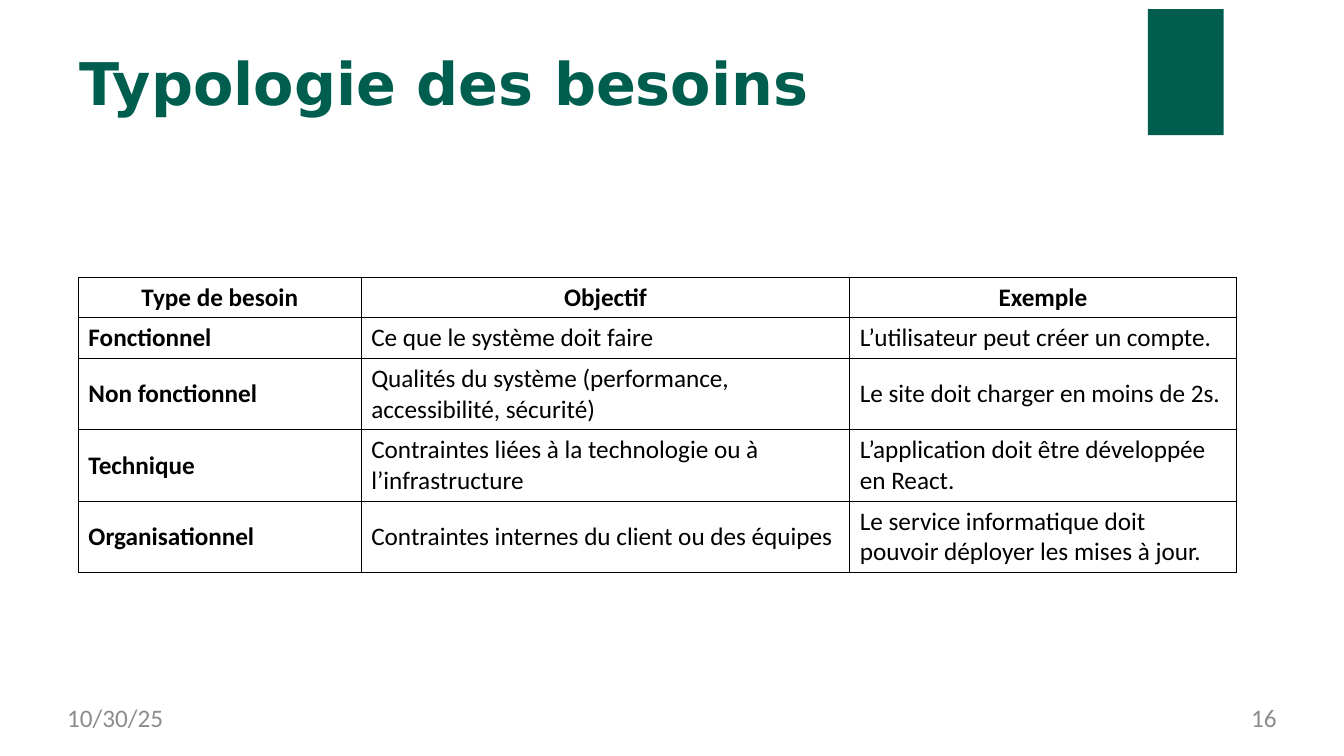
from dataclasses import dataclass

from lxml.etree import SubElement
from pptx import Presentation
from pptx.dml.color import RGBColor
from pptx.enum.shapes import MSO_SHAPE
from pptx.enum.text import MSO_ANCHOR, PP_ALIGN
from pptx.oxml import parse_xml
from pptx.oxml.ns import nsdecls, qn
from pptx.util import Pt


@dataclass(frozen=True)
class Theme:
    green: str = "005E4F"
    grey: str = "8C8C8C"
    black: str = "000000"
    title_font: str = "DejaVu Sans"
    body_font: str = "Calibri"
    title_size: float = 42
    body_size: float = 18
    border_width: float = 1


def apply_format(target, values):
    for name, value in values.items():
        setattr(target, name, value)


class SlideBuilder:
    """Draws styled elements on one slide, with lengths in points."""

    def __init__(self, page, theme):
        self.page = page
        self.theme = theme

    def add_span(self, frame, text, color, font=None, size=None, bold=False, align=PP_ALIGN.LEFT):
        para = frame.paragraphs[0]
        para.alignment = align
        span = para.add_run()
        span.text = text
        apply_format(span.font, {
            "name": font or self.theme.body_font,
            "size": Pt(size or self.theme.body_size),
            "bold": bold,
        })
        span.font.color.rgb = RGBColor.from_string(color)

    def add_text(self, bounds, text, color, **style):
        box = self.page.shapes.add_textbox(*map(Pt, bounds))
        apply_format(box.text_frame, {
            "word_wrap": True,
            "margin_left": 0,
            "margin_top": 0,
            "margin_right": 0,
            "margin_bottom": 0,
        })
        self.add_span(box.text_frame, text, color, **style)

    def add_block(self, bounds, color):
        shape = self.page.shapes.add_shape(MSO_SHAPE.RECTANGLE, *map(Pt, bounds))
        shape.shadow.inherit = False
        shape.fill.solid()
        shape.fill.fore_color.rgb = RGBColor.from_string(color)
        shape.line.fill.background()

    def add_border(self, cell):
        properties = cell._tc.get_or_add_tcPr()
        for index, side in enumerate(("lnL", "lnR", "lnT", "lnB")):
            width = Pt(self.theme.border_width)
            line = parse_xml(f'<a:{side} {nsdecls("a")} w="{width}"/>')
            fill = SubElement(line, qn("a:solidFill"))
            SubElement(fill, qn("a:srgbClr"), val=self.theme.black)
            properties.insert(index, line)

    def add_grid(self, left, top, widths, heights, rows):
        bounds = left, top, sum(widths), sum(heights)
        table = self.page.shapes.add_table(len(rows), len(widths), *map(Pt, bounds)).table
        apply_format(table, {"first_row": False, "horz_banding": False})
        for column, width in zip(table.columns, widths):
            column.width = Pt(width)
        for row, height in zip(table.rows, heights):
            row.height = Pt(height)
        for row_index, texts in enumerate(rows):
            for column_index, text in enumerate(texts):
                cell = table.cell(row_index, column_index)
                cell.vertical_anchor = MSO_ANCHOR.MIDDLE
                cell.fill.background()
                self.add_border(cell)
                is_header = row_index == 0
                self.add_span(
                    cell.text_frame, text, self.theme.black,
                    bold=is_header or column_index == 0,
                    align=PP_ALIGN.CENTER if is_header else PP_ALIGN.LEFT,
                )


NEEDS = [
    ("Type de besoin", "Objectif", "Exemple"),
    ("Fonctionnel", "Ce que le système doit faire", "L’utilisateur peut créer un compte."),
    ("Non fonctionnel", "Qualités du système (performance, accessibilité, sécurité)",
     "Le site doit charger en moins de 2s."),
    ("Technique", "Contraintes liées à la technologie ou à l’infrastructure",
     "L’application doit être développée en React."),
    ("Organisationnel", "Contraintes internes du client ou des équipes",
     "Le service informatique doit pouvoir déployer les mises à jour."),
]


def main():
    deck = Presentation()
    apply_format(deck, {"slide_width": Pt(960), "slide_height": Pt(540)})
    theme = Theme()
    builder = SlideBuilder(deck.slides.add_slide(deck.slide_layouts[6]), theme)
    builder.add_block((820, 6.5, 54, 90), theme.green)
    builder.add_text((57, 33, 744, 51), "Typologie des besoins", theme.green,
                     font=theme.title_font, size=theme.title_size, bold=True)
    builder.add_text((48, 502, 221, 27), "10/30/25", theme.grey)
    builder.add_text((691, 502, 221, 27), "16", theme.grey, align=PP_ALIGN.RIGHT)
    builder.add_grid(56, 198, (202, 349, 276), (29, 29, 51, 51, 51), NEEDS)
    deck.save("out.pptx")


if __name__ == "__main__":
    main()
